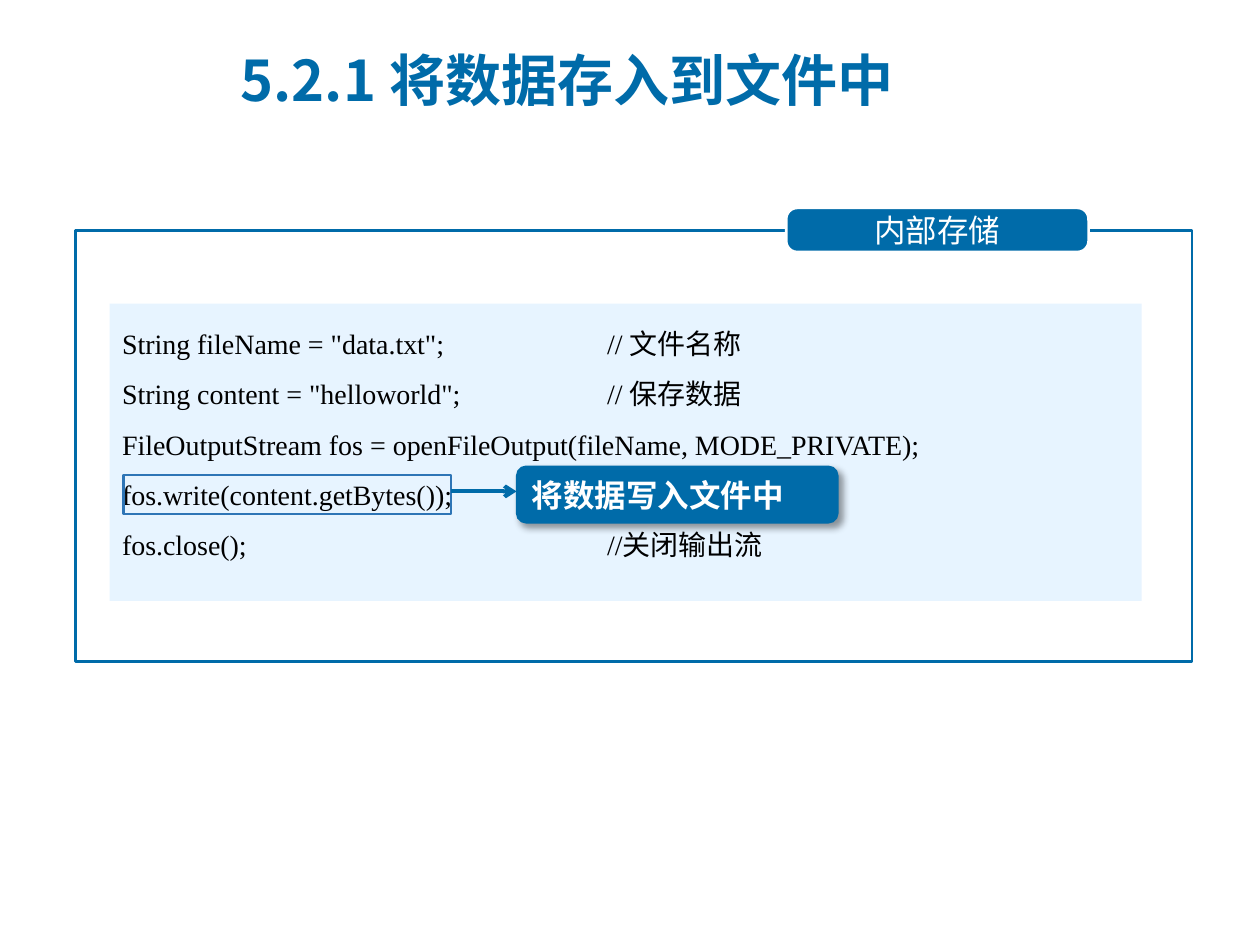
import dataclasses
import pptx
import pptx.dml.color
import pptx.enum.shapes
import pptx.enum.text
import pptx.oxml
import pptx.oxml.ns
import pptx.util


@dataclasses.dataclass
class Theme:
    blue: str = "006BA9"
    edge: str = "2E75B6"
    pale: str = "E7F4FF"
    white: str = "FFFFFF"
    black: str = "000000"
    han: str = "Noto Sans CJK SC"
    serif: str = "Times New Roman"
    sans: str = "Calibri"
    head: int = 32
    label: int = 18
    code: int = 16


look = Theme()
rgb = pptx.dml.color.RGBColor.from_string
kinds = pptx.enum.shapes.MSO_SHAPE
align = pptx.enum.text.PP_ALIGN
anchor = pptx.enum.text.MSO_ANCHOR
space = pptx.oxml.ns.nsdecls("a")

deck = pptx.Presentation()
deck.slide_width = pptx.util.Inches(10)
deck.slide_height = pptx.util.Inches(7.5)
col = deck.slide_width // 100
row = deck.slide_height // 75
slide = deck.slides.add_slide(deck.slide_layouts[5])


def write(shape, lines, size, color, font=look.han, bold=False, side=align.LEFT,
          hold=anchor.MIDDLE, pad=1, gap=1.0, tab=None, hang=0):
    frame = shape.text_frame
    frame.word_wrap = True
    frame.auto_size = pptx.enum.text.MSO_AUTO_SIZE.NONE
    frame.vertical_anchor = hold
    frame.margin_left = frame.margin_right = int(pad * col)
    frame.margin_top = frame.margin_bottom = row // 2
    for i, line in enumerate(lines):
        para = frame.paragraphs[0] if i == 0 else frame.add_paragraph()
        para.alignment = side
        para.line_spacing = gap
        para.space_before = pptx.util.Pt(0)
        props = para._p.get_or_add_pPr()
        if hang:
            props.set("marL", str(int(hang * col)))
            props.set("indent", str(int(-hang * col)))
        if tab:
            props.append(pptx.oxml.parse_xml(
                f'<a:tabLst {space}><a:tab pos="{int(tab * col)}" algn="l"/></a:tabLst>'))
        run = para.add_run()
        run.text = line
        run.font.size = pptx.util.Pt(size)
        run.font.bold = bold
        run.font.color.rgb = rgb(color)
        run.font.name = font
        run._r.get_or_add_rPr().append(
            pptx.oxml.parse_xml(f'<a:ea {space} typeface="{look.han}"/>'))


def block(kind, x, y, wide, high, fill=None, edge=None, weight=1.5):
    shape = slide.shapes.add_shape(
        kind, int(x * col), int(y * row), int(wide * col), int(high * row))
    shape.shadow.inherit = False
    if fill:
        shape.fill.solid()
        shape.fill.fore_color.rgb = rgb(fill)
    else:
        shape.fill.background()
    if edge:
        shape.line.color.rgb = rgb(edge)
        shape.line.width = pptx.util.Pt(weight)
    else:
        shape.line.fill.background()
    return shape


title = slide.shapes.title
title.left, title.top = int(18.1 * col), int(2.1 * row)
title.width, title.height = int(56.3 * col), int(8.4 * row)
write(title, ["5.2.1 将数据存入到文件中"], look.head, look.blue, bold=True, hang=6.2)

block(kinds.RECTANGLE, 6, 18.3, 88.6, 34.2, edge=look.blue)
label = block(kinds.ROUNDED_RECTANGLE, 62.4, 16.5, 24, 3.5, look.blue, look.white)
label.adjustments[0] = 0.25
write(label, ["内部存储"], look.label, look.white, side=align.CENTER, pad=2.4)

code = block(kinds.RECTANGLE, 8.7, 24.1, 81.9, 23.6, look.pale)
write(code, [
    'String fileName = "data.txt";\t// 文件名称',
    'String content = "helloworld";\t// 保存数据',
    "FileOutputStream fos = openFileOutput(fileName, MODE_PRIVATE);",
    "fos.write(content.getBytes());",
    "fos.close();\t//关闭输出流",
], look.code, look.black, font=look.serif, hold=anchor.TOP, gap=1.5, tab=38.5)

note = block(kinds.ROUNDED_RECTANGLE, 41, 37, 25.5, 4.5, look.blue, look.blue, 0.75)
write(note, ["将数据写入文件中"], look.label, look.white, font=look.sans, bold=True)
shade = note._element.spPr.find(pptx.oxml.ns.qn("a:effectLst"))
shade.append(pptx.oxml.parse_xml(
    f'<a:outerShdw {space} blurRad="50800" dist="38100" dir="2700000" algn="tl" '
    f'rotWithShape="0"><a:srgbClr val="{look.black}"><a:alpha val="40000"/>'
    '</a:srgbClr></a:outerShdw>'))

mark = block(kinds.ROUNDED_RECTANGLE, 9.8, 37.7, 26, 3.1, edge=look.edge)
mark.adjustments[0] = 0

arrow = slide.shapes.add_connector(
    pptx.enum.shapes.MSO_CONNECTOR.STRAIGHT,
    int(35.8 * col), 39 * row, 41 * col, 39 * row)
arrow.line.color.rgb = rgb(look.blue)
arrow.line.width = pptx.util.Pt(2.25)
arrow.line._get_or_add_ln().append(
    pptx.oxml.parse_xml(f'<a:tailEnd {space} type="arrow"/>'))
arrow._element.spPr.append(pptx.oxml.parse_xml(f"<a:effectLst {space}/>"))

deck.save("out.pptx")
